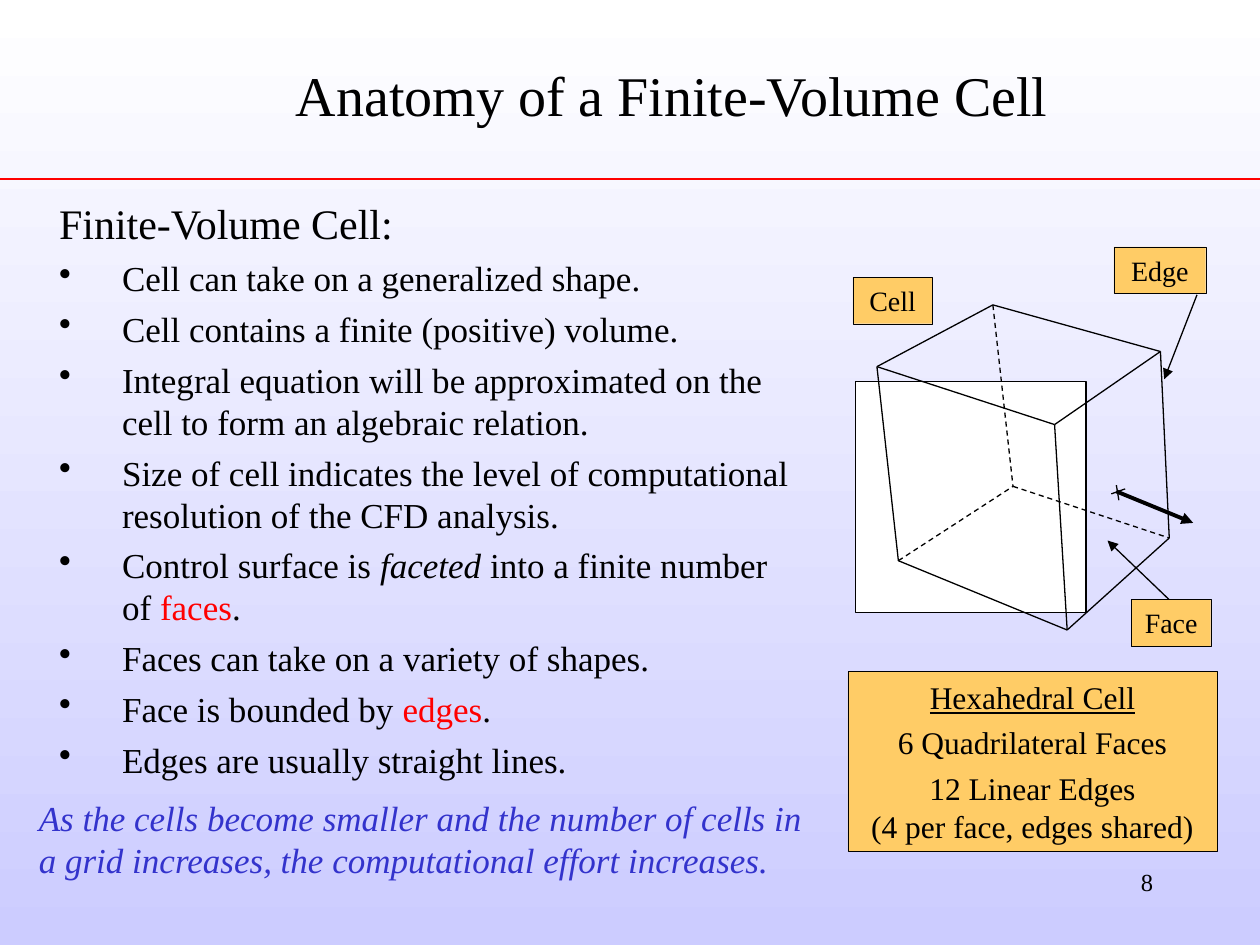
from lxml import etree
from pptx import Presentation
from pptx.dml.color import RGBColor
from pptx.enum.dml import MSO_LINE_DASH_STYLE as Dash
from pptx.enum.shapes import MSO_CONNECTOR as Connector, MSO_SHAPE as Shape
from pptx.enum.text import MSO_ANCHOR as Anchor, PP_ALIGN as Align
from pptx.oxml.ns import qn
from pptx.util import Inches, Pt

FONT = "Times New Roman"
COLORS = {
    "text": "000000",
    "white": "FFFFFF",
    "lavender": "CCCCFF",
    "red": "FF0000",
    "blue": "3333CC",
    "label": "FFCC66",
}

# Each bullet is a list of (words, style) runs.
BULLETS = [
    [("Cell can take on a generalized shape.", "")],
    [("Cell contains a finite (positive) volume.", "")],
    [("Integral equation will be approximated on the cell to form an algebraic relation.", "")],
    [("Size of cell indicates the level of computational resolution of the CFD analysis.", "")],
    [("Control surface is ", ""), ("faceted", "italic"),
     (" into a finite number of ", ""), ("faces", "red"), (".", "")],
    [("Faces can take on a variety of shapes.", "")],
    [("Face is bounded by ", ""), ("edges", "red"), (".", "")],
    [("Edges are usually straight lines.", "")],
]

TOP = [(6.96, 2.91), (7.88, 2.42), (9.21, 2.79), (8.37, 3.37)]
BOTTOM = [(7.13, 4.45), (8.04, 3.86), (9.28, 4.27), (8.47, 5)]
HIDDEN_CORNER = BOTTOM[1]

LABELS = [
    ("Cell", 6.77, 2.2, 0.63),
    ("Face", 8.98, 4.76, 0.63),
    ("Edge", 8.84, 1.96, 0.73),
]


def color(name):
    return RGBColor.from_string(COLORS[name])


def style_font(font, size, color_name="text"):
    font.name = FONT
    font.size = Pt(size)
    font.color.rgb = color(color_name)


def set_background(slide):
    fill = slide.background.fill
    fill.gradient()
    fill.gradient_angle = 270
    for stop, position, name in zip(fill.gradient_stops, (0, 1), ("white", "lavender")):
        stop.position = position
        stop.color.rgb = color(name)


def add_text(slide, box, text, size, color_name="text"):
    shape = slide.shapes.add_textbox(*map(Inches, box))
    shape.text_frame.word_wrap = True
    paragraph = shape.text_frame.paragraphs[0]
    paragraph.text = text
    style_font(paragraph.runs[0].font, size, color_name)
    return shape.text_frame


def add_line(slide, start, end, width=0.75, color_name="text", dashed=False, arrow=False):
    line = slide.shapes.add_connector(Connector.STRAIGHT, *map(Inches, (*start, *end)))
    line.line.width = Pt(width)
    line.line.color.rgb = color(color_name)
    if dashed:
        line.line.dash_style = Dash.DASH
    if arrow:
        tail = etree.SubElement(line.line._get_or_add_ln(), qn("a:tailEnd"))
        tail.set("type", "triangle")
    etree.SubElement(line._element.spPr, qn("a:effectLst"))


def add_box(slide, box, fill_name, line_width):
    shape = slide.shapes.add_shape(Shape.RECTANGLE, *map(Inches, box))
    shape.shadow.inherit = False
    shape.fill.solid()
    shape.fill.fore_color.rgb = color(fill_name)
    shape.line.color.rgb = color("text")
    shape.line.width = Pt(line_width)
    return shape


def add_label(slide, box, lines, size):
    """Draw an orange box with one centred paragraph per line."""
    text_frame = add_box(slide, box, "label", 0.25).text_frame
    text_frame.vertical_anchor = Anchor.TOP
    text_frame.text = "\n".join(lines)
    for paragraph in text_frame.paragraphs:
        paragraph.alignment = Align.CENTER
        style_font(paragraph.runs[0].font, size)
    return text_frame


def add_bullet(text_frame, runs):
    paragraph = text_frame.add_paragraph()
    properties = paragraph._p.get_or_add_pPr()
    properties.set("marL", str(Inches(0.5)))
    properties.set("indent", str(Inches(-0.5)))
    etree.SubElement(properties, qn("a:buChar")).set("char", "•")
    paragraph.space_before = Pt(5)
    for words, style in runs:
        run = paragraph.add_run()
        run.text = words
        style_font(run.font, 20, "red" if style == "red" else "text")
        if style == "italic":
            run.font.italic = True


def add_cell_edges(slide):
    """Join the eight corners; edges at the hidden corner are dashed."""
    for i in range(4):
        following = (i + 1) % 4
        edges = [(TOP[i], TOP[following]), (BOTTOM[i], BOTTOM[following]), (TOP[i], BOTTOM[i])]
        for edge in edges:
            add_line(slide, *edge, dashed=HIDDEN_CORNER in edge)


def add_cell_diagram(slide):
    add_box(slide, (6.79, 3.03, 1.83, 1.83), "white", 0.75)
    add_cell_edges(slide)
    add_line(slide, (8.86, 3.9), (9.47, 4.15), width=2.25, arrow=True)
    add_line(slide, (8.82, 3.92), (8.93, 3.88))
    add_line(slide, (8.86, 3.85), (8.88, 3.97))
    add_line(slide, (9.5, 2.34), (9.24, 3.01), arrow=True)
    add_line(slide, (9.28, 4.76), (8.79, 4.29), arrow=True)
    for text, left, top, width in LABELS:
        add_label(slide, (left, top, width, 0.37), [text], 16)


def main():
    presentation = Presentation()
    presentation.slide_width = Inches(10)
    presentation.slide_height = Inches(7.5)
    slide = presentation.slides.add_slide(presentation.slide_layouts[6])
    set_background(slide)
    add_line(slide, (0, 1.42), (10, 1.42), width=1.5, color_name="red")

    title = add_text(slide, (2.25, 0.33, 7.33, 0.83), "Anatomy of a Finite-Volume Cell", 32)
    title.vertical_anchor = Anchor.MIDDLE

    body = add_text(slide, (0.37, 1.52, 6.05, 4.78), "Finite-Volume Cell:", 24)
    for runs in BULLETS:
        add_bullet(body, runs)

    add_cell_diagram(slide)
    summary = add_label(slide, (6.73, 5.33, 2.93, 1.43), [
        "Hexahedral Cell", "6 Quadrilateral Faces", "12 Linear Edges",
        "(4 per face, edges shared)"], 18)
    summary.paragraphs[0].runs[0].font.underline = True
    for paragraph in summary.paragraphs[1:3]:
        paragraph.space_before = Pt(4.5)

    remark = add_text(
        slide, (0.21, 6.27, 6.38, 0.77),
        "As the cells become smaller and the number of cells in a grid increases, "
        "the computational effort increases.", 20, "blue")
    remark.paragraphs[0].runs[0].font.italic = True

    number = add_text(slide, (7.17, 6.83, 2.08, 0.5), "8", 14)
    number.paragraphs[0].alignment = Align.RIGHT
    presentation.save("out.pptx")


if __name__ == "__main__":
    main()
